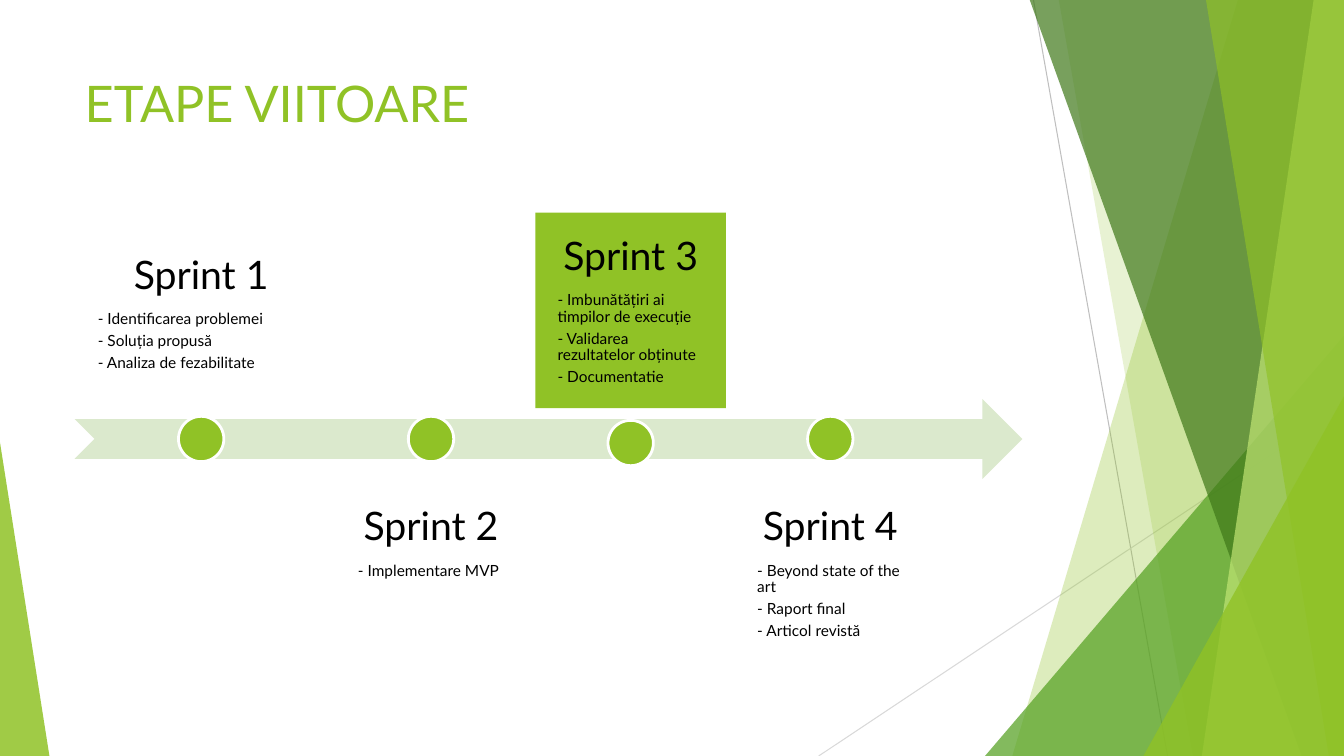
from lxml import etree
from pptx import Presentation
from pptx.dml.color import RGBColor
from pptx.enum.shapes import MSO_CONNECTOR, MSO_SHAPE
from pptx.enum.text import MSO_ANCHOR, MSO_AUTO_SIZE, PP_ALIGN
from pptx.oxml.ns import qn
from pptx.util import Inches, Pt

STRAIGHT = MSO_CONNECTOR.STRAIGHT
TRIANGLE = MSO_SHAPE.ISOSCELES_TRIANGLE
ARROW = MSO_SHAPE.NOTCHED_RIGHT_ARROW
OVAL = MSO_SHAPE.OVAL
TOP, BOTTOM = MSO_ANCHOR.TOP, MSO_ANCHOR.BOTTOM
LEFT, CENTER = PP_ALIGN.LEFT, PP_ALIGN.CENTER

WIDTH, HEIGHT = 13.33, 7.5
FONT = "Lato"
COLORS = {
    "lime": "90C226", "green": "54A021", "forest": "3F7819", "pale": "C0E474",
    "arrow": "DBE9CD", "white": "FFFFFF", "black": "000000",
    "gray": "BFBFBF", "silver": "D9D9D9",
}

TITLE = "ETAPE VIITOARE"
SPRINTS = [
    {"name": "Sprint 1", "width": 2.49, "height": 1.8, "above": True, "fill": "white", "drop": 0,
     "tasks": ["Identificarea problemei", "Soluția propusă", "Analiza de fezabilitate"]},
    {"name": "Sprint 2", "width": 1.89, "height": 1.8, "above": False, "fill": None, "drop": 0,
     "tasks": ["Implementare MVP"]},
    {"name": "Sprint 3", "width": 1.89, "height": 1.94, "above": True, "fill": "lime", "drop": 0.04,
     "tasks": ["Imbunătățiri ai timpilor de execuție", "Validarea rezultatelor obținute",
               "Documentatie"]},
    {"name": "Sprint 4", "width": 1.89, "height": 1.8, "above": False, "fill": None, "drop": 0,
     "tasks": ["Beyond state of the art", "Raport final", "Articol revistă"]},
]

RAYS = [
    ((10.25, 0), (11.58, HEIGHT), "gray"),
    ((WIDTH, 4.03), (8.12, HEIGHT), "silver"),
]
FACETS = [
    ("band", 12.28, 10.04, "lime", 30),
    ("band", 10.5, 11.83, "lime", 20),
    ("corner", 9.77, 3.33, "green", 72),
    ("band", 10.21, 12.91, "forest", 70),
    ("band", 13.03, 11.92, "pale", 70),
    ("band", 11.96, 13.18, "lime", 65),
    ("corner", 11.34, 3.93, "lime", 80),
]
LEFT_FACET = (0, 4.39, 0.49, 3.11)

MARGIN, CONTENT_WIDTH = 0.74, 9.4
FIRST_LEFT, GAP = 0.75, 0.09
ABOVE_TOP, BELOW_TOP = 2.11, 4.81
ARROW_TOP, ARROW_HEIGHT = 3.96, 0.79
DOT_TOP, DOT_SIZE = 4.13, 0.45
INSET = 0.22


def rgb(name):
    return RGBColor.from_string(COLORS[name])


def paint(shape, color, opacity=100):
    shape.shadow.inherit = False
    shape.line.fill.background()
    shape.fill.solid()
    shape.fill.fore_color.rgb = rgb(color)
    if opacity < 100:
        tint = shape.fill._xPr.find(qn("a:solidFill"))[0]
        etree.SubElement(tint, qn("a:alpha")).set("val", str(opacity * 1000))


def add_preset(page, kind, left, top, width, height, color, opacity=100):
    shape = page.shapes.add_shape(kind, Inches(left), Inches(top), Inches(width), Inches(height))
    paint(shape, color, opacity)
    return shape


def add_ray(page, start, end, color):
    ray = page.shapes.add_connector(STRAIGHT, *[Inches(value) for value in start + end])
    ray.line.color.rgb = rgb(color)
    ray.line.width = Pt(0.75)
    etree.SubElement(ray._element.spPr, qn("a:effectLst"))


def add_band(page, upper, lower, color, opacity):
    corners = [(upper, -0.01), (WIDTH, -0.01), (WIDTH, HEIGHT), (lower, HEIGHT)]
    points = [(Inches(x), Inches(y)) for x, y in corners]
    builder = page.shapes.build_freeform(*points[0], scale=1.0)
    builder.add_line_segments(points[1:], close=True)
    paint(builder.convert_to_shape(), color, opacity)


def add_backdrop(page):
    for start, end, color in RAYS:
        add_ray(page, start, end, color)
    for kind, first, second, color, opacity in FACETS:
        if kind == "band":
            add_band(page, first, second, color, opacity)
        else:
            corner = add_preset(page, TRIANGLE, first, second, WIDTH - first, HEIGHT - second,
                                color, opacity)
            corner.adjustments[0] = 1
    add_preset(page, TRIANGLE, *LEFT_FACET, "lime", 85).adjustments[0] = 0


def format_paragraph(para, size, align):
    para.alignment = align
    para.line_spacing = 0.9
    para.space_after = Pt(size * 0.35)
    para.font.size = Pt(size)
    para.font.name = FONT
    para.font.color.rgb = rgb("black")


def add_sprint(page, sprint, left):
    top = ABOVE_TOP if sprint["above"] else BELOW_TOP
    box = page.shapes.add_textbox(Inches(left), Inches(top), Inches(sprint["width"]),
                                  Inches(sprint["height"]))
    if sprint["fill"]:
        paint(box, sprint["fill"])
    frame = box.text_frame
    frame.word_wrap = True
    frame.vertical_anchor = BOTTOM if sprint["above"] else TOP
    frame.margin_left = frame.margin_right = Inches(INSET)
    frame.margin_top = frame.margin_bottom = Inches(INSET)
    frame.text = "\n".join([sprint["name"]] + [f"- {task}" for task in sprint["tasks"]])
    heading, *tasks = frame.paragraphs
    format_paragraph(heading, 28, CENTER)
    for para in tasks:
        format_paragraph(para, 11, LEFT)

    dot_left = left + (sprint["width"] - DOT_SIZE) / 2
    dot = add_preset(page, OVAL, dot_left, DOT_TOP + sprint["drop"], DOT_SIZE, DOT_SIZE, "lime")
    dot.line.color.rgb = rgb("white")
    dot.line.width = Pt(2)


def add_title(page):
    title = page.shapes.title
    title.left, title.top = Inches(MARGIN), Inches(0.67)
    title.width, title.height = Inches(CONTENT_WIDTH), Inches(1.44)
    frame = title.text_frame
    frame.text = TITLE
    frame.auto_size = MSO_AUTO_SIZE.NONE
    frame.vertical_anchor = TOP
    para = frame.paragraphs[0]
    para.alignment = LEFT
    para.font.size = Pt(36)
    para.font.name = FONT
    para.font.color.rgb = rgb("lime")


def main():
    deck = Presentation()
    deck.slide_width, deck.slide_height = Inches(WIDTH), Inches(HEIGHT)
    page = deck.slides.add_slide(deck.slide_layouts[5])
    add_backdrop(page)
    add_title(page)
    add_preset(page, ARROW, MARGIN, ARROW_TOP, CONTENT_WIDTH, ARROW_HEIGHT, "arrow")
    left = FIRST_LEFT
    for sprint in SPRINTS:
        add_sprint(page, sprint, left)
        left += sprint["width"] + GAP
    deck.save("out.pptx")


if __name__ == "__main__":
    main()
